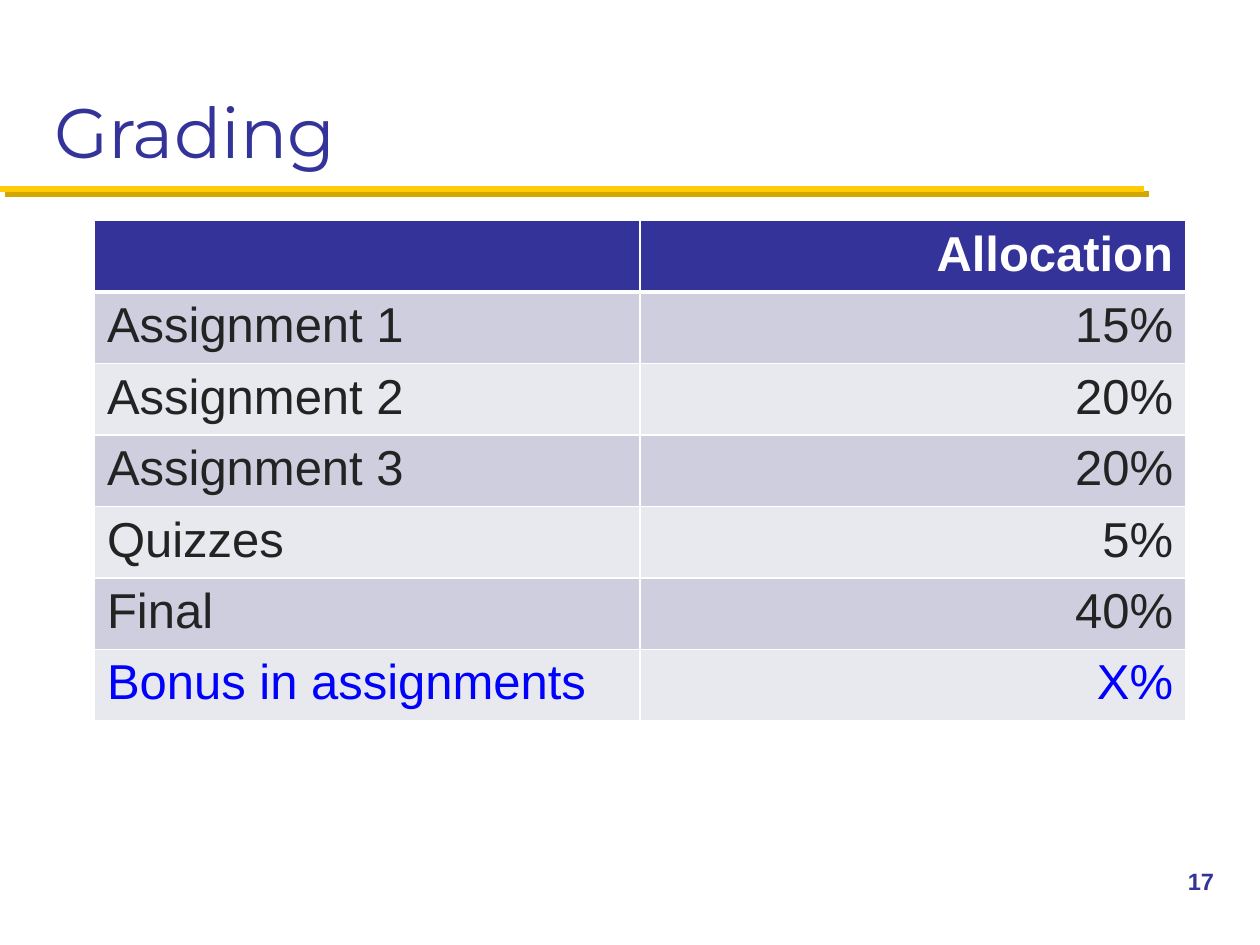
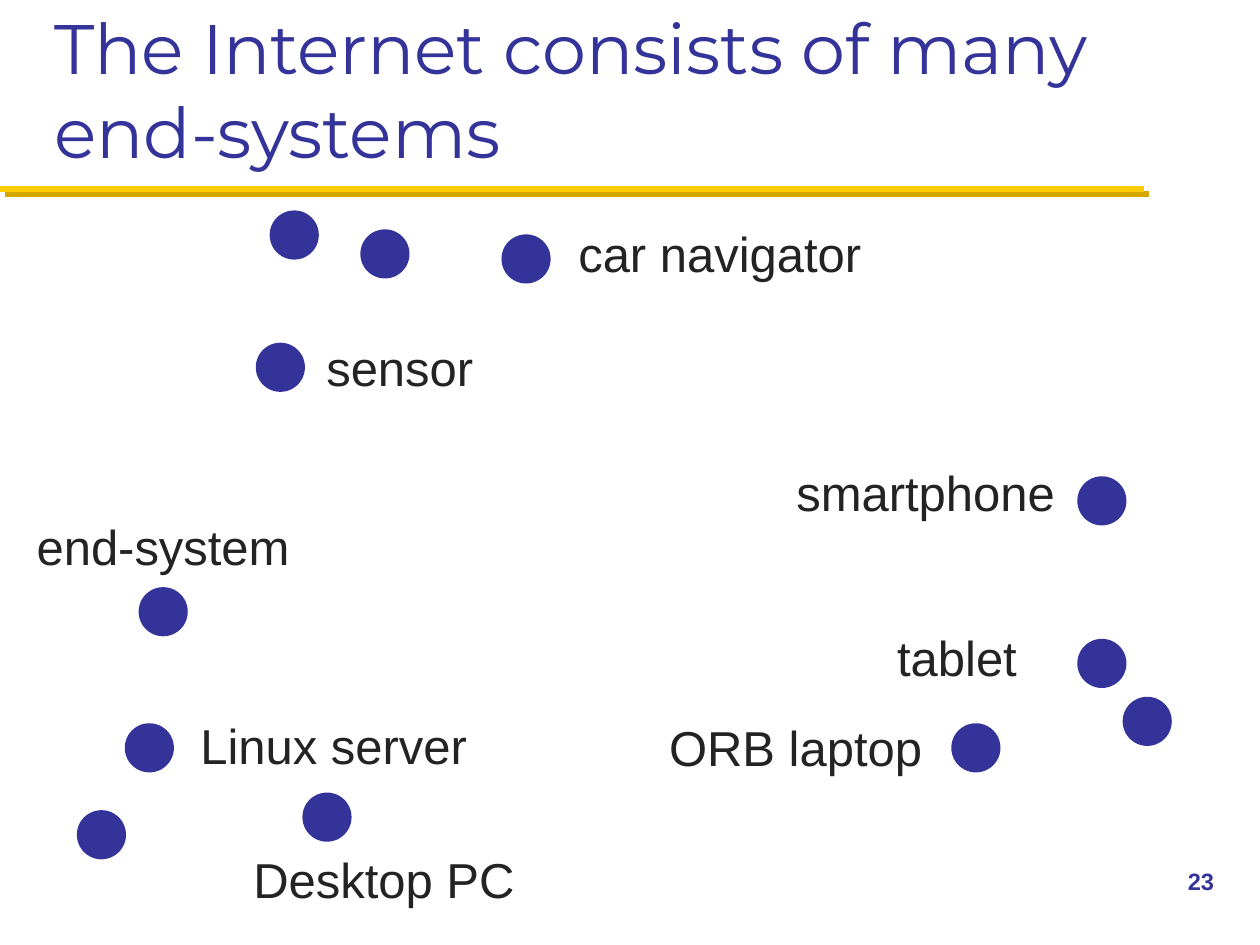
from pptx import Presentation
from pptx.util import Inches, Pt
from pptx.dml.color import RGBColor
from pptx.enum.shapes import MSO_CONNECTOR, MSO_SHAPE
from pptx.enum.text import MSO_ANCHOR, MSO_AUTO_SIZE, PP_ALIGN
from pptx.oxml import parse_xml
from pptx.oxml.ns import nsdecls

HUES = {"navy": "333399", "gold": "FFCB05", "shade": "D3A600",
        "ink": "232323", "blue": "0000FF", "white": "FFFFFF",
        "dark": "CECEDE", "light": "E8E8EF"}


def style(para, size, hue, face="Arial", bold=False):
    font = para.font
    font.name, font.size, font.bold = face, Pt(size), bold
    font.color.rgb = RGBColor.from_string(HUES[hue])


def write(slide, text, box, size, hue, pad=(0.1, 0.05), bold=False):
    label = slide.shapes.add_textbox(*map(Inches, box))
    frame = label.text_frame
    frame.word_wrap = True
    frame.margin_left = frame.margin_right = Inches(pad[0])
    frame.margin_top = frame.margin_bottom = Inches(pad[1])
    frame.text = text
    style(frame.paragraphs[0], size, hue, bold=bold)
    return frame


deck = Presentation()
deck.slide_width, deck.slide_height = Inches(10), Inches(7.5)

# Shared title, gold rule and page number
pages = []
for head, number in [("Grading", "17"),
                     ("The Internet consists of many end-systems", "23")]:
    slide = deck.slides.add_slide(deck.slide_layouts[5])
    pages.append(slide)
    rule = slide.shapes.add_connector(MSO_CONNECTOR.STRAIGHT, 0, Inches(1.5),
                                      Inches(9.08), Inches(1.5))
    rule.line.width = Pt(3.5)
    rule.line.color.rgb = RGBColor.from_string(HUES["gold"])
    rule._element.spPr.append(parse_xml(
        f'<a:effectLst {nsdecls("a")}><a:outerShdw dist="{Pt(4.2)}" '
        f'dir="2700000" algn="ctr" rotWithShape="0">'
        f'<a:srgbClr val="{HUES["shade"]}"/></a:outerShdw></a:effectLst>'))

    title = slide.shapes.title
    title.left, title.top = Inches(0.33), Inches(0.17)
    title.width, title.height = Inches(9.33), Inches(1.25)
    frame = title.text_frame
    frame.text = head
    frame.vertical_anchor = MSO_ANCHOR.BOTTOM
    frame.auto_size = MSO_AUTO_SIZE.NONE
    frame.paragraphs[0].alignment = PP_ALIGN.LEFT
    style(frame.paragraphs[0], 40, "navy", "Montserrat")
    write(slide, number, (9.33, 6.83, 0.67, 0.5), 13.5, "navy", bold=True)

grading, systems = pages

# Grading table
rows = [("", "Allocation"), ("Assignment 1", "15%"), ("Assignment 2", "20%"),
        ("Assignment 3", "20%"), ("Quizzes", "5%"), ("Final", "40%"),
        ("Bonus in assignments", "X%")]
grid = grading.shapes.add_table(len(rows), 2, Inches(0.75), Inches(1.75),
                                Inches(8.66), Inches(0.53 * len(rows))).table
grid.horz_banding = False
for r, row in enumerate(rows):
    fill = "navy" if r == 0 else "dark" if r % 2 else "light"
    hue = "white" if r == 0 else "blue" if r == len(rows) - 1 else "ink"
    for c, text in enumerate(row):
        cell = grid.cell(r, c)
        edges = {"L": 1, "R": 1, "T": 3 if r == 1 else 1,
                 "B": 3 if r == 0 else 1}
        for side, width in edges.items():
            cell._tc.get_or_add_tcPr().append(parse_xml(
                f'<a:ln{side} {nsdecls("a")} w="{Pt(width)}"><a:solidFill>'
                f'<a:srgbClr val="{HUES["white"]}"/></a:solidFill></a:ln{side}>'))
        cell.fill.solid()
        cell.fill.fore_color.rgb = RGBColor.from_string(HUES[fill])
        cell.text = text
        para = cell.text_frame.paragraphs[0]
        para.alignment = PP_ALIGN.RIGHT if c else PP_ALIGN.LEFT
        style(para, 28, hue, bold=r == 0)

# End-system dots
dots = [(2.03, 2.72), (1.1, 4.66), (2.4, 6.29), (2.14, 1.67), (2.86, 1.82),
        (0.99, 5.74), (8.55, 3.78), (7.55, 5.74), (8.55, 5.07), (0.61, 6.43),
        (8.91, 5.53), (3.98, 1.86)]
for x, y in dots:
    dot = systems.shapes.add_shape(MSO_SHAPE.OVAL, Inches(x), Inches(y),
                                   Inches(0.39), Inches(0.39))
    dot.shadow.inherit = False
    dot.fill.solid()
    dot.fill.fore_color.rgb = RGBColor.from_string(HUES["navy"])
    dot.line.fill.background()

# Names beside the dots
names = [("end-system", 0.25, 4.06, 2.28), ("Desktop PC", 1.97, 6.7, 3.19),
         ("Linux server", 1.55, 5.64, 2.28), ("ORB laptop", 5.27, 5.65, 2.28),
         ("car navigator", 4.55, 1.73, 2.54), ("sensor", 2.55, 2.64, 3.2),
         ("smartphone", 6.28, 3.63, 2.29), ("tablet", 7.08, 4.94, 1.41)]
for text, x, y, width in names:
    frame = write(systems, text, (x, y, width, 0.55), 28, "ink", (0.04, 0.04))
    frame.vertical_anchor = MSO_ANCHOR.MIDDLE

deck.save("out.pptx")
